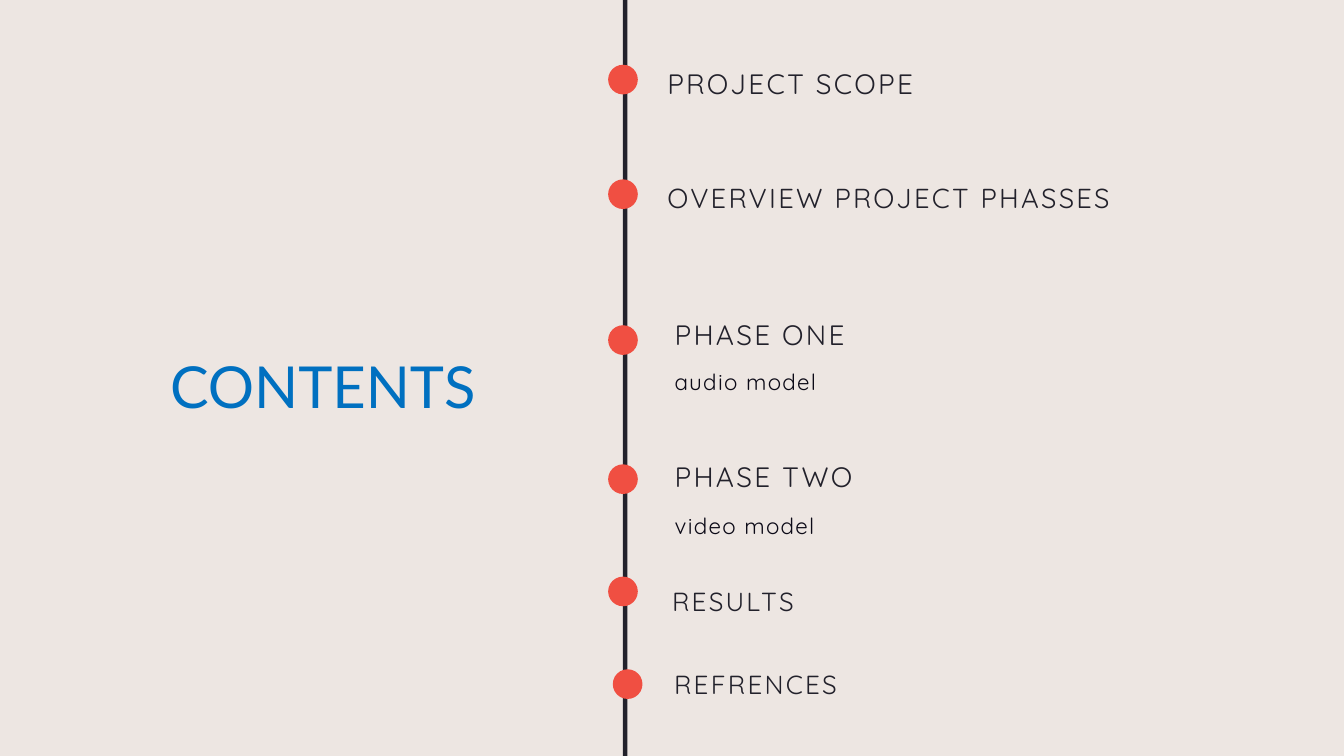
from dataclasses import dataclass

from pptx import Presentation
from pptx.dml.color import RGBColor as RGB
from pptx.enum.shapes import MSO_SHAPE as Shape
from pptx.enum.text import MSO_AUTO_SIZE as Fit
from pptx.slide import Slide
from pptx.util import Pt


@dataclass(frozen=True)
class Theme:
    back: str = "EDE6E2"
    title: str = "0070C0"
    ink: str = "22212B"
    note: str = "0C0A17"
    dot: str = "F04F42"
    title_font: str = "Lato"
    font: str = "Quicksand"
    title_size: float = 62
    head_size: float = 30
    wide_size: float = 29.4
    small_size: float = 28
    note_size: float = 24


@dataclass(frozen=True)
class Entry:
    head: str
    left: float
    top: float
    dot_top: float
    size: float
    pitch: float = 42
    dot_left: float = 651.6
    note: str = ""
    note_top: float = 0


THEME = Theme()
DOT = 31.8
ENTRIES = [
    Entry("PROJECT SCOPE", 715, 65.5, 69.4, THEME.head_size),
    Entry("OVERVIEW PROJECT PHASSES", 715, 187.9, 192.2, THEME.wide_size, pitch=41.2),
    Entry("PHASE ONE", 722.9, 334.1, 348.5, THEME.head_size,
          note="audio model", note_top=381.6),
    Entry("PHASE TWO", 722.9, 486, 497.5, THEME.head_size,
          note="video model", note_top=535.7),
    Entry("RESULTS", 720, 618.5, 617.8, THEME.small_size),
    Entry("REFRENCES", 722.2, 707.8, 717.1, THEME.small_size, dot_left=656.6),
]


def add_text(slide: Slide, text: str, left: float, top: float, *, size: float,
             pitch: float, color: str = THEME.ink, font: str = THEME.font,
             track: float = 2.4, width: float = 597) -> None:
    """Add one line of text; pitch is line spacing and track letter spacing."""
    box = slide.shapes.add_textbox(Pt(left), Pt(top), Pt(width), Pt(pitch))
    frame = box.text_frame
    frame.word_wrap = True
    frame.auto_size = Fit.SHAPE_TO_FIT_TEXT
    frame.margin_left = frame.margin_right = 0
    frame.margin_top = frame.margin_bottom = 0
    para = frame.paragraphs[0]
    para.line_spacing = Pt(pitch)
    run = para.add_run()
    run.text = text
    run.font.name = font
    run.font.size = Pt(size)
    run.font.color.rgb = RGB.from_string(color)
    if track:
        run._r.get_or_add_rPr().set("spc", str(round(track * 100)))


def add_solid(slide: Slide, kind: Shape, left: float, top: float,
              width: float, height: float, color: str) -> None:
    form = slide.shapes.add_shape(kind, Pt(left), Pt(top), Pt(width), Pt(height))
    form.shadow.inherit = False
    form.fill.solid()
    form.fill.fore_color.rgb = RGB.from_string(color)
    form.line.fill.background()


def add_entry(slide: Slide, entry: Entry) -> None:
    add_solid(slide, Shape.OVAL, entry.dot_left, entry.dot_top, DOT, DOT, THEME.dot)
    add_text(slide, entry.head, entry.left, entry.top,
             size=entry.size, pitch=entry.pitch)
    if entry.note:
        add_text(slide, entry.note, entry.left, entry.note_top,
                 size=THEME.note_size, pitch=41.3, color=THEME.note, track=1.4)


def main() -> None:
    deck = Presentation()
    deck.slide_width, deck.slide_height = Pt(1440), Pt(810)
    slide = deck.slides.add_slide(deck.slide_layouts[6])
    fill = slide.background.fill
    fill.solid()
    fill.fore_color.rgb = RGB.from_string(THEME.back)

    add_text(slide, "CONTENTS", 182.2, 375.8, size=THEME.title_size, pitch=74.4,
             color=THEME.title, font=THEME.title_font, track=0, width=437)
    add_solid(slide, Shape.RECTANGLE, 667.4, 0, 5, 810, THEME.ink)
    for entry in ENTRIES:
        add_entry(slide, entry)
    deck.save("out.pptx")


if __name__ == "__main__":
    main()
